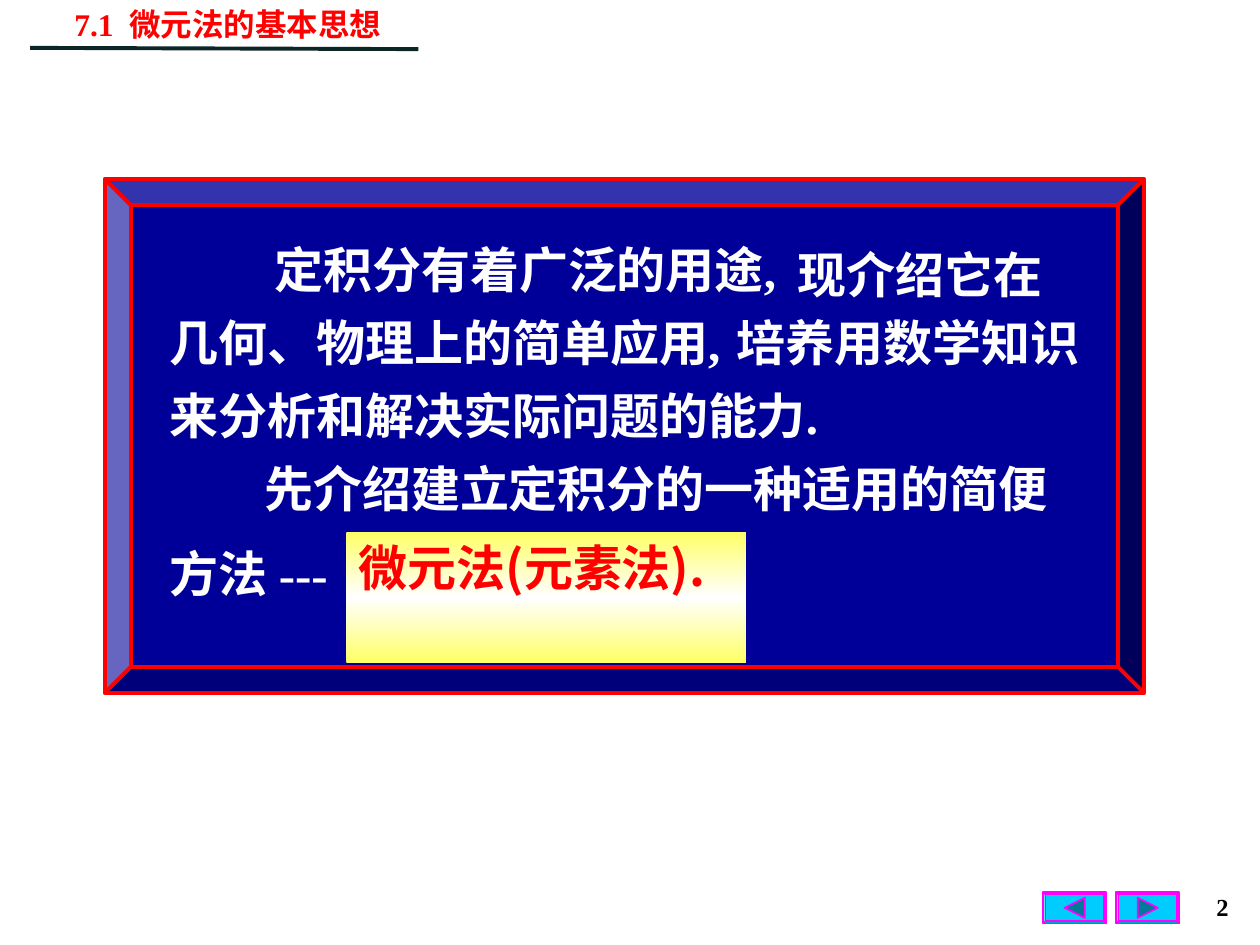
import pptx
import pptx.util
import pptx.dml.color
import pptx.enum.shapes
import pptx.enum.text
import pptx.oxml.ns
import lxml.etree

Inches = pptx.util.Inches
Pt = pptx.util.Pt
SHAPE = pptx.enum.shapes.MSO_SHAPE
ALIGN = pptx.enum.text.PP_ALIGN
FIT = pptx.enum.text.MSO_AUTO_SIZE

# Content
TITLE = "7.1  微元法的基本思想"
PAGE_NUMBER = "2"
KEY_TERM = "微元法(元素法)."
LINES = [  # text, left, top, width
    ("定积分有着广泛的用途,", 2.08, 1.76, 4.42),
    ("现介绍它在", 6.23, 1.8, 2.75),
    ("几何、物理上的简单应用,", 1.25, 2.34, 6.42),
    ("培养用数学知识", 5.75, 2.34, 3.33),
    ("来分析和解决实际问题的能力.", 1.25, 2.92, 6.33),
    ("先介绍建立定积分的一种适用的简便", 2, 3.5, 6.83),
    ("方法 ---", 1.25, 4.17, 1.67),
]
BUTTONS = [(8.28, -1), (8.86, 1)]  # left, pointing direction

THEME = {
    "latin": "Times New Roman", "chinese": "Noto Sans CJK SC",
    "body_size": 28, "title_size": 18, "number_size": 14,
    "white": "FFFFFF", "black": "000000", "red": "FF0000",
    "panel": "000099", "rule": "0C2625", "yellow": "FFFF66",
    "button": "00CCFF", "button_line": "FF00FF", "arrow": "007A99",
}


def colour(name):
    return pptx.dml.color.RGBColor.from_string(THEME[name])


def inches(*values):
    return [Inches(value) for value in values]


def write(box, text, size, ink, face="latin", fit=FIT.SHAPE_TO_FIT_TEXT, **layout):
    frame = box.text_frame
    frame.word_wrap = True
    frame.auto_size = fit
    frame.vertical_anchor = pptx.enum.text.MSO_ANCHOR.TOP
    para = frame.paragraphs[0]
    for key, value in {"alignment": ALIGN.LEFT, **layout}.items():
        setattr(para, key, value)
    span = para.add_run()
    span.text = text
    for key, value in {"name": THEME[face], "size": Pt(THEME[size]), "bold": True}.items():
        setattr(span.font, key, value)
    span.font.color.rgb = colour(ink)
    east_asian = lxml.etree.SubElement(span.font._element, pptx.oxml.ns.qn("a:ea"))
    east_asian.set("typeface", THEME["chinese"])


def paint(shape, fill, line, width):
    shape.shadow.inherit = False
    shape.fill.solid()
    shape.fill.fore_color.rgb = colour(fill)
    shape.line.color.rgb = colour(line)
    shape.line.width = Pt(width)


def add_bevel(page, area, depth, fill, line, width):
    bevel = page.shapes.add_shape(SHAPE.BEVEL, *inches(*area))
    bevel.adjustments[0] = depth
    paint(bevel, fill, line, width)


def add_button(page, left, direction):
    top, width, height, reach = 7.08, 0.5, 0.25, 0.08
    add_bevel(page, (left, top, width, height), 0.07, "button", "button_line", 1)
    middle, centre = left + width / 2, top + height / 2
    base, tip = middle - direction * reach, middle + direction * reach
    outline = page.shapes.build_freeform(*inches(base, centre - reach), scale=1.0)
    outline.add_line_segments(
        [inches(tip, centre), inches(base, centre + reach)], close=True)
    paint(outline.convert_to_shape(), "arrow", "button_line", 1)


def add_key_term(page):
    box = page.shapes.add_shape(SHAPE.RECTANGLE, *inches(2.75, 4.22, 3.17, 1.04))
    box.shadow.inherit = False
    box.line.fill.background()
    box.fill.gradient()
    box.fill.gradient_angle = 270
    stops = box.fill.gradient_stops
    for stop, position in zip(stops, (0, 1)):
        stop.color.rgb = colour("yellow")
        stop.position = position
    # White band between the two yellow stops
    first = stops[0]._gs
    band = lxml.etree.Element(first.tag, pos="50000")
    first.addnext(band)
    tone = lxml.etree.SubElement(band, pptx.oxml.ns.qn("a:srgbClr"))
    tone.set("val", THEME["white"])
    write(box, KEY_TERM, "body_size", "red", "chinese")


def main():
    deck = pptx.Presentation()
    deck.slide_width, deck.slide_height = inches(10, 7.5)
    page = deck.slides.add_slide(deck.slide_layouts[5])

    # Heading and rule
    title = page.shapes.title
    for key, value in zip(("left", "top", "width", "height"), inches(0.43, -0.01, 3.02, 0.4)):
        setattr(title, key, value)
    write(title, TITLE, "title_size", "red")
    title.text_frame.margin_left = Inches(0.16)
    rule = page.shapes.add_connector(
        pptx.enum.shapes.MSO_CONNECTOR.STRAIGHT, *inches(0.24, 0.38, 3.32, 0.39))
    rule.line.color.rgb = colour("rule")
    rule.line.width = Pt(2.25)
    lxml.etree.SubElement(rule._element.spPr, pptx.oxml.ns.qn("a:effectLst"))

    # Panel with its text
    add_bevel(page, (0.83, 1.42, 8.25, 4.08), 0.051, "panel", "red", 2.25)
    for text, left, top, width in LINES:
        box = page.shapes.add_textbox(*inches(left, top, width, 0.66))
        write(box, text, "body_size", "white", line_spacing=1.2, space_before=Pt(17.5))
    add_key_term(page)

    # Navigation and page number
    for left, direction in BUTTONS:
        add_button(page, left, direction)
    number = page.shapes.add_textbox(*inches(9.4, 7.03, 0.45, 0.5))
    write(number, PAGE_NUMBER, "number_size", "black", fit=FIT.NONE, alignment=ALIGN.RIGHT)

    deck.save("out.pptx")


if __name__ == "__main__":
    main()
